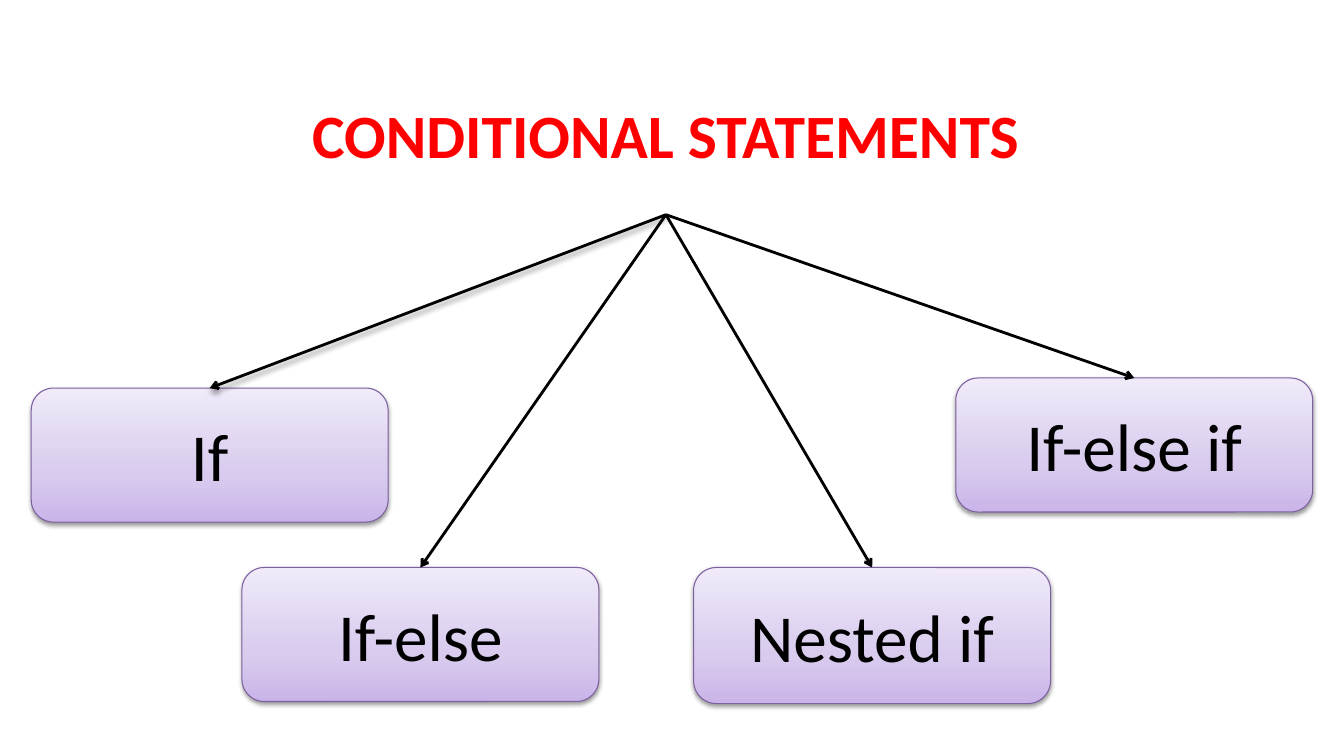
import copy
from dataclasses import dataclass
from typing import Optional

import pptx
import pptx.dml.color
import pptx.enum.shapes
import pptx.enum.text
import pptx.oxml
import pptx.oxml.ns
import pptx.util

Inches = pptx.util.Inches
Pt = pptx.util.Pt
qn = pptx.oxml.ns.qn

FONT = "Calibri"
GRADIENT = [(0, "C9B5E8"), (0.35, "D8CBEE"), (1, "F0EAF9")]
BOX_WIDTH = 3.54


@dataclass
class Shadow:
    opacity: int
    blur: float
    distance: float


@dataclass
class Branch:
    text: str
    left: float
    top: float
    height: float = 1.33
    arrow_shadow: Optional[Shadow] = None


BOX_SHADOW = Shadow(38, 3.1, 1.6)
BRANCHES = [
    Branch("If", 0.31, 3.85, arrow_shadow=Shadow(40, 4, 3)),
    Branch("If-else", 2.4, 5.63),
    Branch("Nested if", 6.88, 5.63, height=1.35),
    Branch("If-else if", 9.48, 3.75),
]


def rgb(value: str) -> pptx.dml.color.RGBColor:
    return pptx.dml.color.RGBColor.from_string(value)


def set_effect(s, shadow: Optional[Shadow]) -> None:
    """Give a shape a downward black shadow, or none."""
    ns = pptx.oxml.ns.nsdecls("a")
    inner = ""
    if shadow:
        inner = (
            f'<a:outerShdw blurRad="{Pt(shadow.blur)}" dist="{Pt(shadow.distance)}"'
            ' dir="5400000" rotWithShape="0"><a:srgbClr val="000000">'
            f'<a:alpha val="{shadow.opacity * 1000}"/></a:srgbClr></a:outerShdw>'
        )
    effect = pptx.oxml.parse_xml(f"<a:effectLst {ns}>{inner}</a:effectLst>")
    s._element.spPr.append(effect)


def set_text(s, text: str, size: float, color: str, bold: bool = False) -> None:
    tf = s.text_frame
    tf.word_wrap = True
    tf.vertical_anchor = pptx.enum.text.MSO_ANCHOR.MIDDLE
    p = tf.paragraphs[0]
    p.text = text
    p.alignment = pptx.enum.text.PP_ALIGN.CENTER
    p.font.name = FONT
    p.font.size = Pt(size)
    p.font.bold = bold
    p.font.color.rgb = rgb(color)


def set_gradient(s) -> None:
    s.fill.gradient()
    s.fill.gradient_angle = 90
    stop_list = s._element.spPr.find(qn("a:gradFill")).find(qn("a:gsLst"))
    stop_list.append(copy.deepcopy(stop_list[0]))
    for stop, (position, color) in zip(s.fill.gradient_stops, GRADIENT):
        stop.position = position
        stop.color.rgb = rgb(color)


def add_box(slide, branch: Branch):
    s = slide.shapes.add_shape(
        pptx.enum.shapes.MSO_SHAPE.ROUNDED_RECTANGLE,
        Inches(branch.left), Inches(branch.top),
        Inches(BOX_WIDTH), Inches(branch.height),
    )
    set_gradient(s)
    s.line.color.rgb = rgb("7D60A0")
    s.line.width = Pt(0.75)
    set_effect(s, BOX_SHADOW)
    tf = s.text_frame
    tf.margin_left = tf.margin_right = Inches(0.13)
    tf.margin_top = tf.margin_bottom = Inches(0.07)
    set_text(s, branch.text, 48, "000000")
    return s


def add_arrow(slide, title, box, shadow: Optional[Shadow]) -> None:
    """Join the bottom of the title to the top of a box."""
    s = slide.shapes.add_connector(
        pptx.enum.shapes.MSO_CONNECTOR.STRAIGHT, 0, 0, 0, 0
    )
    s.begin_connect(title, 2)
    s.end_connect(box, 0)
    s.line.color.rgb = rgb("000000")
    s.line.width = Pt(2)
    ns = pptx.oxml.ns.nsdecls("a")
    head = pptx.oxml.parse_xml(f'<a:tailEnd {ns} type="arrow"/>')
    s._element.spPr.find(qn("a:ln")).append(head)
    set_effect(s, shadow)


def main() -> None:
    prs = pptx.Presentation()
    prs.slide_width, prs.slide_height = Inches(13.33), Inches(7.5)
    slide = prs.slides.add_slide(prs.slide_layouts[5])

    # Title
    title = slide.shapes.title
    title.left, title.top = Inches(0.94), Inches(0.52)
    title.width, title.height = Inches(11.33), Inches(1.61)
    set_text(title, "CONDITIONAL STATEMENTS", 44, "FF0000", bold=True)

    # Boxes, then the arrows over them
    boxes = [add_box(slide, branch) for branch in BRANCHES]
    for branch, box in zip(BRANCHES, boxes):
        add_arrow(slide, title, box, branch.arrow_shadow)

    prs.save("out.pptx")


if __name__ == "__main__":
    main()
